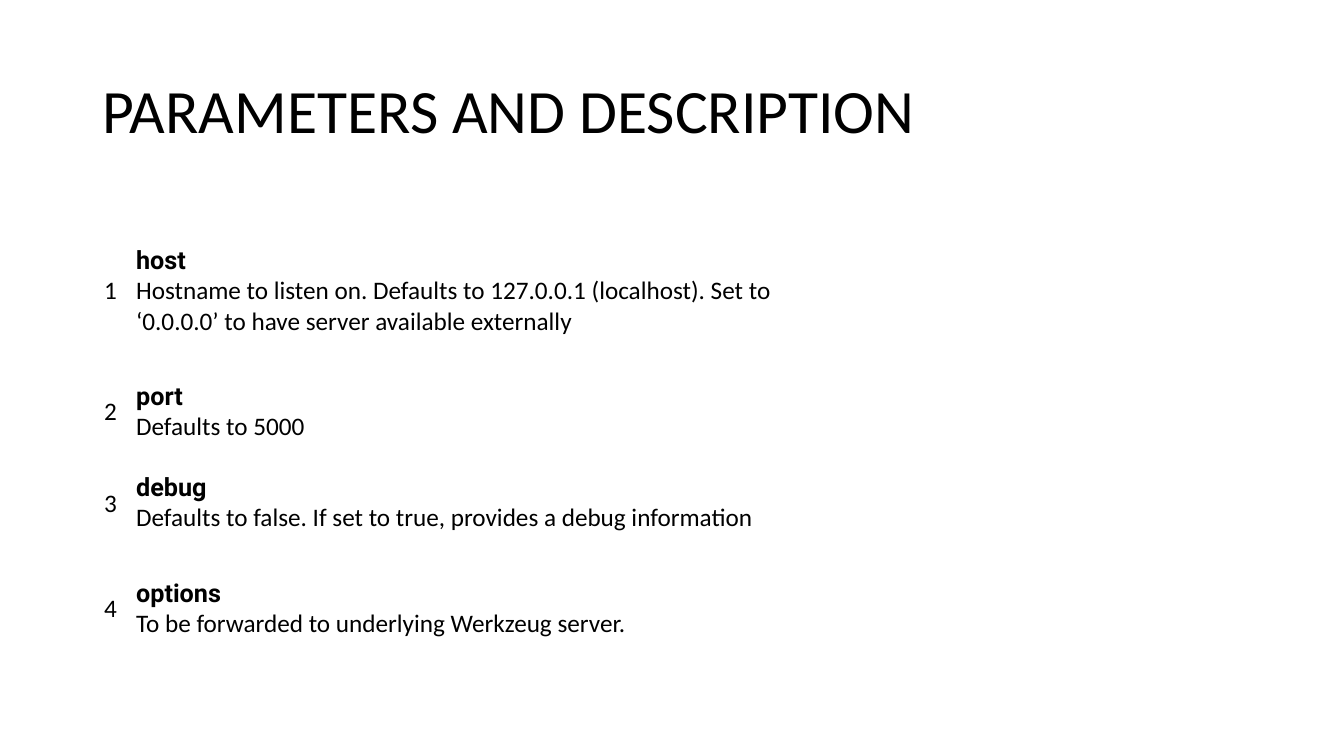
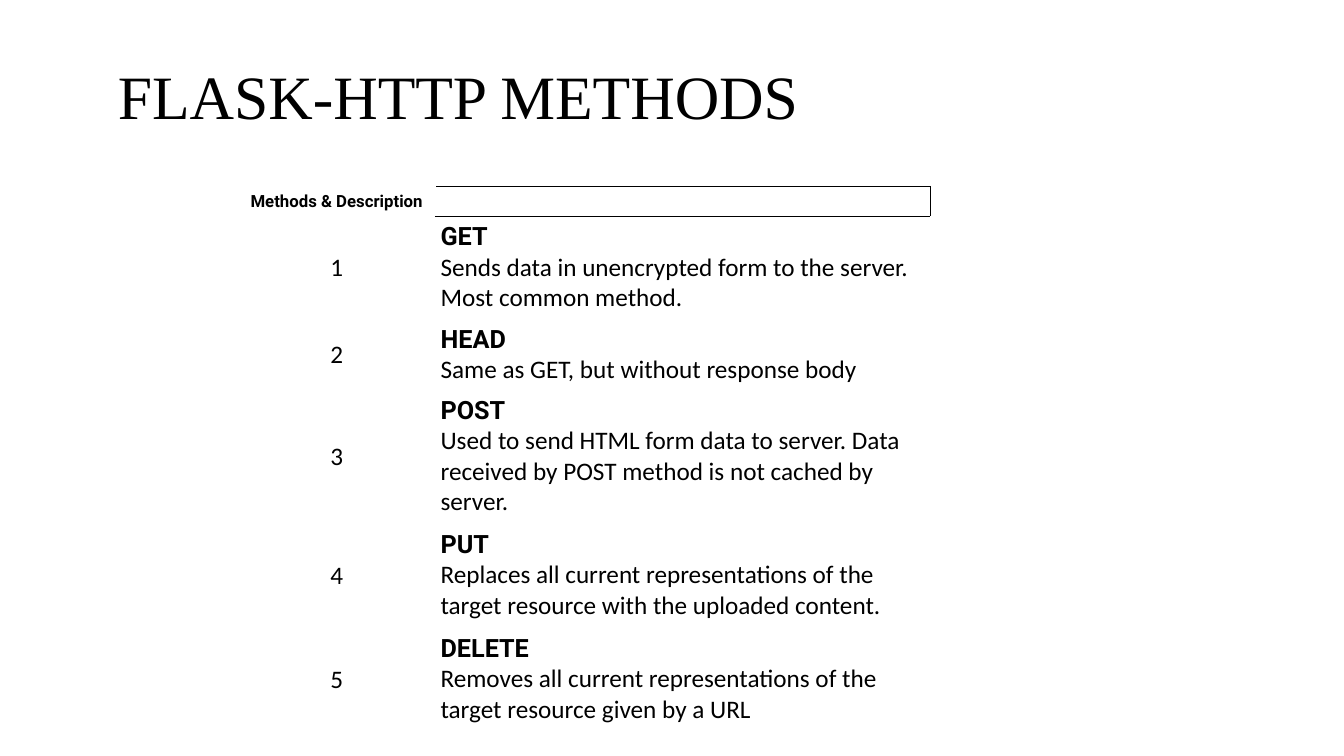
from lxml.etree import SubElement
from pptx import Presentation
from pptx.dml.color import RGBColor
from pptx.enum.text import MSO_ANCHOR as Anchor, PP_ALIGN as Align
from pptx.oxml.ns import qn
from pptx.util import Inches, Pt

COLORS = {"paper": "FFFFFF", "ink": "000000"}
BODY_FONT = "Calibri"
TERM_FONT = "Roboto"

PARAMETERS = [
    ("host", "Hostname to listen on. Defaults to 127.0.0.1 (localhost). "
             "Set to ‘0.0.0.0’ to have server available externally"),
    ("port", "Defaults to 5000"),
    ("debug", "Defaults to false. If set to true, provides a debug information"),
    ("options", "To be forwarded to underlying Werkzeug server."),
]
METHODS = [
    ("GET", "Sends data in unencrypted form to the server. Most common method."),
    ("HEAD", "Same as GET, but without response body"),
    ("POST", "Used to send HTML form data to server. Data received by POST method "
             "is not cached by server."),
    ("PUT", "Replaces all current representations of the target resource with the "
            "uploaded content."),
    ("DELETE", "Removes all current representations of the target resource given by a URL"),
]


def add_text(paragraph, text, size=18, font=BODY_FONT, bold=False):
    run = paragraph.add_run()
    run.text = text
    run.font.size = Pt(size)
    run.font.name = font
    run.font.bold = bold
    run.font.color.rgb = RGBColor.from_string(COLORS["ink"])


def add_title(slide, left, top, text, font):
    frame = slide.shapes.add_textbox(
        Inches(left), Inches(top), Inches(11.5), Inches(1.45)).text_frame
    frame.word_wrap = True
    frame.vertical_anchor = Anchor.MIDDLE
    heading = frame.paragraphs[0]
    heading.line_spacing = 0.9
    add_text(heading, text, 44, font)


def add_grid(slide, left, top, widths, heights, inset):
    grid = slide.shapes.add_table(
        len(heights), len(widths), Inches(left), Inches(top),
        Inches(sum(widths)), Inches(sum(heights))).table
    grid.first_row = False
    grid.horz_banding = False
    for column, width in zip(grid.columns, widths):
        column.width = Inches(width)
    for row, height in zip(grid.rows, heights):
        row.height = Inches(height)
    for cell in grid.iter_cells():
        cell.fill.solid()
        cell.fill.fore_color.rgb = RGBColor.from_string(COLORS["paper"])
        cell.vertical_anchor = Anchor.MIDDLE
        set_inset(cell, inset)
    return grid


def set_inset(cell, inset):
    cell.margin_left = cell.margin_right = Inches(inset)
    cell.margin_top = cell.margin_bottom = Inches(inset)


def fill_label(cell, text, **style):
    label = cell.text_frame.paragraphs[0]
    label.alignment = Align.CENTER
    add_text(label, text, **style)


def fill_entries(grid, entries, first_row=0):
    for number, (term, description) in enumerate(entries, 1):
        row = first_row + number - 1
        fill_label(grid.cell(row, 0), str(number))
        frame = grid.cell(row, 1).text_frame
        add_text(frame.paragraphs[0], term, font=TERM_FONT, bold=True)
        add_text(frame.add_paragraph(), description)


def add_borders(cell, sides):
    properties = cell._tc.get_or_add_tcPr()
    for position, side in enumerate(sides):
        line = SubElement(properties, qn(f"a:ln{side}"), w=str(Pt(1)))
        ink = SubElement(SubElement(line, qn("a:solidFill")), qn("a:srgbClr"))
        ink.set("val", COLORS["ink"])
        properties.insert(position, line)


def build_parameters(slide):
    add_title(slide, 0.92, 0.4, "PARAMETERS AND DESCRIPTION", BODY_FONT)
    grid = add_grid(slide, 0.92, 2.07, [0.35, 6.54], [1.64, 0.76, 1.05, 1.05], 0.08)
    fill_entries(grid, PARAMETERS)


def build_methods(slide):
    add_title(slide, 1.07, 0.26, "FLASK-HTTP METHODS", "Times New Roman")
    grid = add_grid(slide, 2.36, 1.85, [1.96, 4.91],
                    [0.3, 1.02, 0.68, 1.32, 1.04, 1.02], 0.05)
    fill_label(grid.cell(0, 0), "Methods & Description",
               size=12, font=TERM_FONT, bold=True)
    empty_header = grid.cell(0, 1)
    set_inset(empty_header, 0)
    add_borders(empty_header, "RTB")
    add_borders(grid.cell(1, 1), "T")
    fill_entries(grid, METHODS, first_row=1)


def main():
    deck = Presentation()
    deck.slide_width = Inches(13.33)
    deck.slide_height = Inches(7.5)
    for build in (build_parameters, build_methods):
        build(deck.slides.add_slide(deck.slide_layouts[6]))
    deck.save("out.pptx")


if __name__ == "__main__":
    main()
